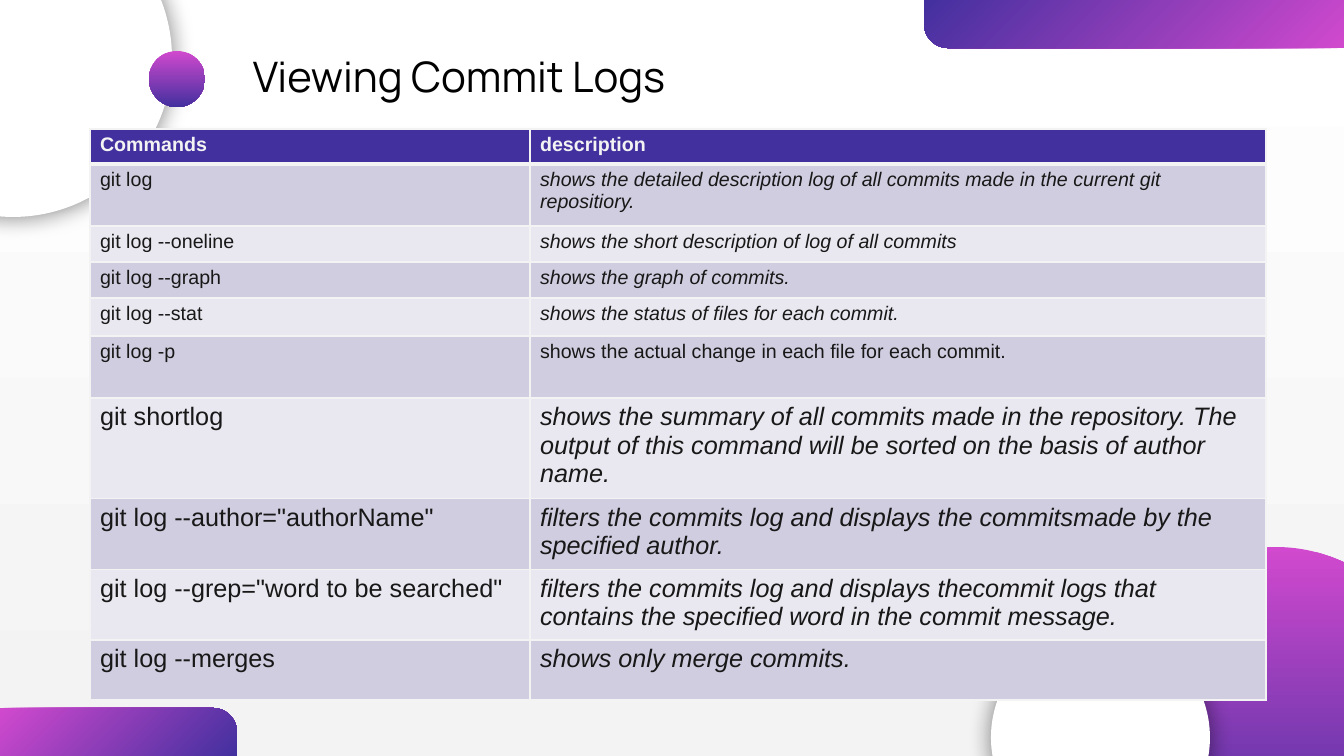
from lxml import etree
from pptx import Presentation
from pptx.dml.color import RGBColor
from pptx.enum.shapes import MSO_SHAPE as SHAPE
from pptx.enum.text import MSO_ANCHOR as ANCHOR
from pptx.oxml import parse_xml
from pptx.oxml.ns import nsdecls, qn
from pptx.util import Pt

PX = 12192000 / 1344  # EMU in one px
PINK, PURPLE, WHITE, PALE = "D149CE", "43309F", "FFFFFF", "F3F3F3"
BAND_DARK, BAND_LIGHT = "CFCDDF", "E9E8F0"


def paint(fill, *colors, angle=90):
    """Fill with one colour, or with a two-colour gradient at a clockwise angle."""
    if len(colors) == 1:
        fill.solid()
        fill.fore_color.rgb = RGBColor.from_string(colors[0])
        return
    fill.gradient()
    fill.gradient_angle = 360 - angle
    for stop, color in zip(fill.gradient_stops, colors):
        stop.color.rgb = RGBColor.from_string(color)


def write(frame, text, size=14, color="181818", font="Arial", bold=False, italic=False):
    frame.word_wrap = True
    run = frame.paragraphs[0].add_run()
    run.text = text
    run.font.size, run.font.name = Pt(size), font
    run.font.bold, run.font.italic = bold, italic
    run.font.color.rgb = RGBColor.from_string(color)


presentation = Presentation()
presentation.slide_width, presentation.slide_height = round(1344 * PX), round(756 * PX)
slide = presentation.slides.add_slide(presentation.slide_layouts[6])
paint(slide.background.fill, WHITE, PALE)

# Corner bars and circles: kind, box, rotation, colours, gradient angle
decorations = [
    (SHAPE.ROUND_1_RECTANGLE, (0, 708, 237, 48), 0, (PINK, PURPLE), 45),
    (SHAPE.ROUND_1_RECTANGLE, (924, 0, 420, 48), 180, (PINK, PURPLE), 45),
    (SHAPE.OVAL, (-146, -101, 318, 318), 0, (WHITE,), 0),
    (SHAPE.OVAL, (1117, 547, 318, 318), 0, (PINK, PURPLE), 90),
    (SHAPE.OVAL, (991, 628, 219, 219), 0, (WHITE,), 0),
    (SHAPE.OVAL, (149, 51, 56, 56), 0, (PINK, PURPLE), 90),
]
for kind, box, rotation, colors, angle in decorations:
    shape = slide.shapes.add_shape(kind, *(round(n * PX) for n in box))
    shape.rotation = rotation
    paint(shape.fill, *colors, angle=angle)
    shape.line.fill.background()
    shape.shadow.inherit = False
    if kind == SHAPE.ROUND_1_RECTANGLE:
        shape.adjustments[0] = 0.5
    if colors == (WHITE,):
        effects = shape._element.spPr.find(qn("a:effectLst"))
        shadow = etree.SubElement(effects, qn("a:outerShdw"), blurRad=str(Pt(17)),
                                  dist="0", dir="0", algn="ctr", rotWithShape="0")
        black = etree.SubElement(shadow, qn("a:srgbClr"), val="000000")
        etree.SubElement(black, qn("a:alpha"), val="50000")

title = slide.shapes.add_textbox(*(round(n * PX) for n in (243, 33, 628, 85))).text_frame
title.vertical_anchor = ANCHOR.MIDDLE
title.margin_left = title.margin_right = title.margin_top = title.margin_bottom = round(10 * PX)
write(title, "Viewing Commit Logs", size=30, color="000000", font="Manrope")

# Row height, text size, command, description
rows = [
    (35, 14, "Commands", "description"),
    (62, 14, "git log",
     "shows the detailed description log of all commits made in the current git repositiory."),
    (36, 14, "git log --oneline", "shows the short description of log of all commits"),
    (36, 14, "git log --graph", "shows the graph of commits."),
    (38, 14, "git log --stat", "shows the status of files for each commit."),
    (62, 14, "git log -p", "shows the actual change in each file for each commit."),
    (87, 18, "git shortlog",
     "shows the summary of all commits made in the repository. The output of this command "
     "will be sorted on the basis of author name."),
    (36, 18, 'git log --author="authorName"',
     "filters the commits log and displays the commitsmade by the specified author."),
    (60, 18, 'git log --grep="word to be searched"',
     "filters the commits log and displays thecommit logs that contains the specified word "
     "in the commit message."),
    (60, 18, "git log --merges", "shows only merge commits."),
]
table_box = (90, 129, 1176, sum(row[0] for row in rows))
table = slide.shapes.add_table(len(rows), 2, *(round(n * PX) for n in table_box)).table
for column, width in zip(table.columns, (440, 736)):
    column.width = round(width * PX)

for row_index, (height, size, *texts) in enumerate(rows):
    table.rows[row_index].height = round(height * PX)
    header = row_index == 0
    band = PURPLE if header else BAND_DARK if row_index % 2 else BAND_LIGHT
    for column_index, text in enumerate(texts):
        cell = table.cell(row_index, column_index)
        for side in "LRTB":
            thick = (header and side == "B") or (row_index == 1 and side == "T")
            cell._tc.get_or_add_tcPr().append(parse_xml(
                f'<a:ln{side} {nsdecls("a")} w="{Pt(3 if thick else 1)}">'
                f'<a:solidFill><a:srgbClr val="{PALE}"/></a:solidFill></a:ln{side}>'))
        paint(cell.fill, band)
        italic = column_index == 1 and not header and texts[0] != "git log -p"
        write(cell.text_frame, text, size=size, color=PALE if header else "181818",
              bold=header, italic=italic)

presentation.save("out.pptx")
